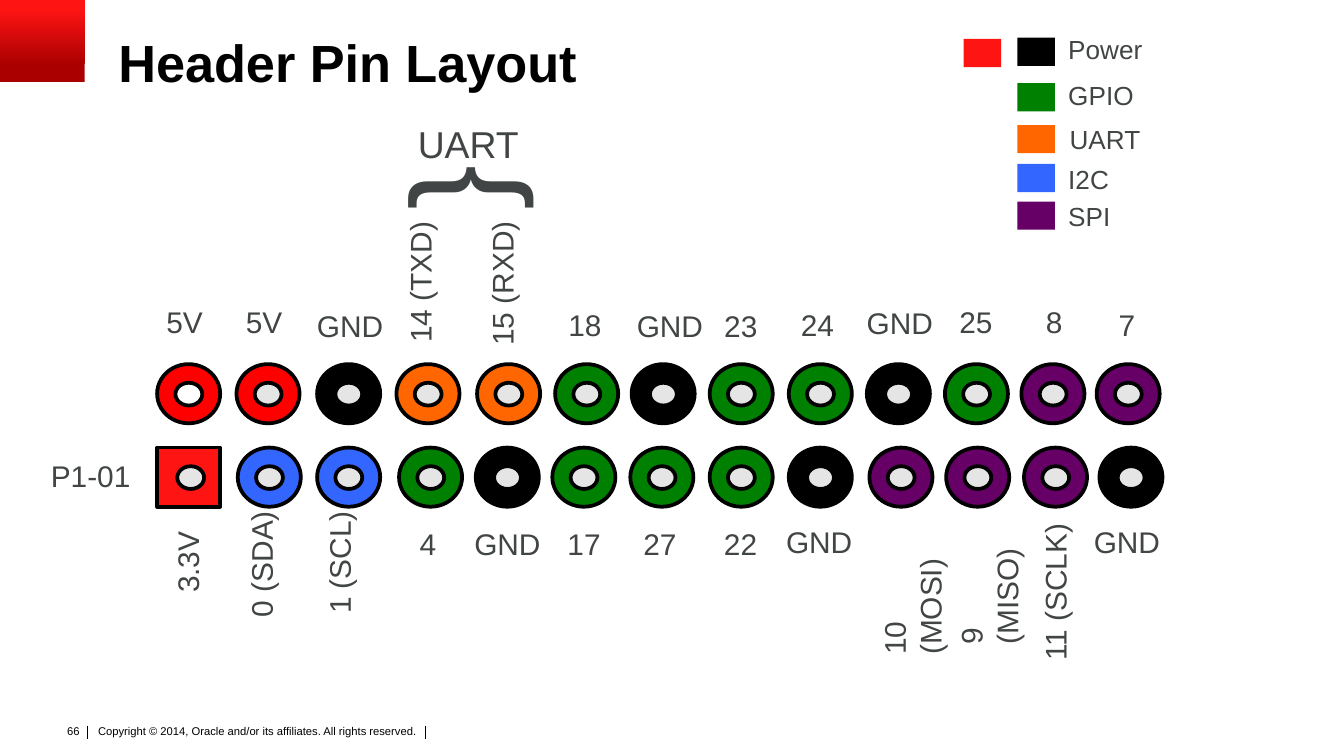
"""Build the header pin layout slide with its pins, labels and colour legend."""
import pptx
import pptx.dml.color
import pptx.enum.shapes
import pptx.enum.text
import pptx.oxml.ns
import pptx.util
from lxml import etree

Pt = pptx.util.Pt
RGBColor = pptx.dml.color.RGBColor
Shape = pptx.enum.shapes.MSO_SHAPE
Align = pptx.enum.text.PP_ALIGN

BLACK = RGBColor(0x00, 0x00, 0x00)
WHITE = RGBColor(0xFF, 0xFF, 0xFF)
GREY = RGBColor(0x42, 0x45, 0x45)
HOLE = RGBColor(0xE5, 0xE5, 0xE5)
DARK_RED = RGBColor(0xAA, 0x00, 0x00)
BRIGHT_RED = RGBColor(0xFF, 0x14, 0x14)
RED = RGBColor(0xFF, 0x00, 0x00)
ORANGE = RGBColor(0xFF, 0x66, 0x00)
GREEN = RGBColor(0x00, 0x80, 0x00)
BLUE = RGBColor(0x33, 0x66, 0xFF)
PURPLE = RGBColor(0x66, 0x00, 0x66)

presentation = pptx.Presentation()
presentation.slide_width = Pt(720)
presentation.slide_height = Pt(405)
slide = presentation.slides.add_slide(presentation.slide_layouts[5])


def add_text(text, left, top, width, height=26.6, size=16, color=GREY,
             align=Align.LEFT, rotation=0, vertical=False, insets=(7.2, 3.6)):
    box = slide.shapes.add_textbox(Pt(left), Pt(top), Pt(width), Pt(height))
    box.rotation = rotation
    frame = box.text_frame
    frame.word_wrap = True
    frame.margin_left = frame.margin_right = Pt(insets[0])
    frame.margin_top = frame.margin_bottom = Pt(insets[1])
    if vertical:
        body = frame._txBody.find(pptx.oxml.ns.qn("a:bodyPr"))
        body.set("vert", "vert270")
    paragraph = frame.paragraphs[0]
    paragraph.text = text
    paragraph.alignment = align
    paragraph.font.name = "Arial"
    paragraph.font.size = Pt(size)
    paragraph.font.color.rgb = color


def add_block(kind, left, top, width, height, color, outlined=False):
    shape = slide.shapes.add_shape(kind, Pt(left), Pt(top), Pt(width), Pt(height))
    shape.shadow.inherit = False
    shape.fill.solid()
    shape.fill.fore_color.rgb = color
    if outlined:
        shape.line.color.rgb = BLACK
        shape.line.width = Pt(2)
    else:
        shape.line.fill.background()
    return shape


corner = add_block(Shape.RECTANGLE, 0, 0, 45.4, 43.9, DARK_RED)
corner.fill.gradient()
corner.fill.gradient_angle = 90
for stop, position, color in zip(corner.fill.gradient_stops, (0.2, 0.9), (DARK_RED, BRIGHT_RED)):
    stop.position = position
    stop.color.rgb = color

title = slide.shapes.title
title.left, title.top, title.width, title.height = Pt(63.4), Pt(19.4), Pt(648), Pt(31.7)
frame = title.text_frame
frame.margin_left = frame.margin_right = frame.margin_top = frame.margin_bottom = 0
frame.vertical_anchor = pptx.enum.text.MSO_ANCHOR.MIDDLE
paragraph = frame.paragraphs[0]
paragraph.text = "Header Pin Layout"
paragraph.alignment = Align.LEFT
paragraph.line_spacing = 0.9
paragraph.font.name = "Arial"
paragraph.font.size = Pt(28)
paragraph.font.bold = True
paragraph.font.color.rgb = BLACK

top_pins = [(84.2, RED), (126.7, RED), (169.9, BLACK), (212.4, ORANGE), (255.6, ORANGE),
            (297.4, GREEN), (338.4, BLACK), (380.2, GREEN), (422.6, GREEN), (464.4, BLACK),
            (506.2, GREEN), (547.2, PURPLE), (587.5, PURPLE)]
bottom_pins = [(84.2, BRIGHT_RED), (127.4, BLUE), (169.9, BLUE), (213.8, GREEN), (254.9, BLACK),
               (295.9, GREEN), (337.7, GREEN), (380.2, GREEN), (422.6, BLACK), (465.8, PURPLE),
               (506.9, PURPLE), (548.6, PURPLE), (589, BLACK)]
for row_top, pins in ((195.1, top_pins), (239.8, bottom_pins)):
    for index, (left, color) in enumerate(pins):
        square = pins is bottom_pins and index == 0
        first = pins is top_pins and index == 0
        add_block(Shape.RECTANGLE if square else Shape.OVAL,
                  left, row_top, 33.8, 31.7, color, outlined=True)
        add_block(Shape.OVAL, left + (10.8 if square else 9.8), row_top + 10, 14.4, 12.2,
                  WHITE if first else HOLE, outlined=True)

for text, left, top, width in (
        ("P1-01", 20.2, 241.9, 57.6), ("5V", 82.1, 159.1, 36), ("5V", 124.6, 159.1, 36),
        ("GND", 162.7, 161.3, 51), ("18", 297.4, 160.6, 44.6), ("GND", 334.1, 161.3, 51),
        ("23", 380.9, 161.3, 34), ("24", 421.9, 160.6, 34.6), ("GND", 457.2, 159.8, 51),
        ("25", 506.9, 159.1, 34.6), ("GND", 247, 277.9, 51), ("GND", 414, 277.2, 51),
        ("GND", 578.9, 277.2, 51)):
    add_text(text, left, top, width)

for text, left, top, width in (
        ("8", 548.6, 159.1, 32.4), ("7", 587.5, 160.6, 32.4), ("4", 210.2, 277.9, 38.2),
        ("17", 291.6, 277.9, 42.5), ("27", 331.9, 277.9, 43.2), ("22", 377.3, 277.9, 38.9)):
    add_text(text, left, top, width, align=Align.CENTER)

for text, left, top, height in (
        ("14 (TXD)", 211.7, 101.5, 89.3), ("15 (RXD)", 255.6, 110.9, 81.4),
        ("0 (SDA)", 126.7, 261.4, 76.3), ("1 (SCL)", 168.5, 264, 72),
        ("10 (MOSI)", 465.8, 276.5, 81.4), ("9 (MISO)", 506.9, 274.3, 77.8)):
    add_text(text, left, top, 33.8, height, vertical=True)

add_text("3.3V", 75.6, 286.6, 49.7, rotation=270)
add_text("11 (SCLK)", 519.1, 301.7, 92.2, rotation=270)
add_text("{", 242.6, 54, 38.9, 94.3, size=72, rotation=90)
add_text("UART", 216.7, 61.2, 70, 31.7, size=20)

add_block(Shape.RECTANGLE, 516.2, 20.9, 20.2, 15.1, BRIGHT_RED)
for text, color, swatch_top, left, top in (
        ("Power", BLACK, 20.2, 565.2, 14.4), ("GPIO", GREEN, 44.6, 565.2, 38.9),
        ("UART", ORANGE, 67, 565.9, 62.6), ("I2C", BLUE, 87.8, 565.2, 84.2),
        ("SPI", PURPLE, 108, 565.2, 103.7)):
    add_block(Shape.RECTANGLE, 545, swatch_top, 20.2, 15.1, color)
    add_text(text, left, top, 66, 24.5, size=14)

add_text("66", 28.1, 384.5, 21.6, 14.4, size=6, color=BLACK, align=Align.RIGHT)
add_text("Copyright © 2014, Oracle and/or its affiliates. All rights reserved.",
         49.7, 386.6, 197.3, 17.3, size=6, color=BLACK, insets=(2.9, 1.4))
for x in (46.8, 228):
    divider = slide.shapes.add_connector(
        pptx.enum.shapes.MSO_CONNECTOR.STRAIGHT, Pt(x), Pt(388.8), Pt(x), Pt(396))
    divider.line.color.rgb = BLACK
    divider.line.width = Pt(0.5)
    etree.SubElement(divider._element.spPr, pptx.oxml.ns.qn("a:effectLst"))

presentation.save("out.pptx")
